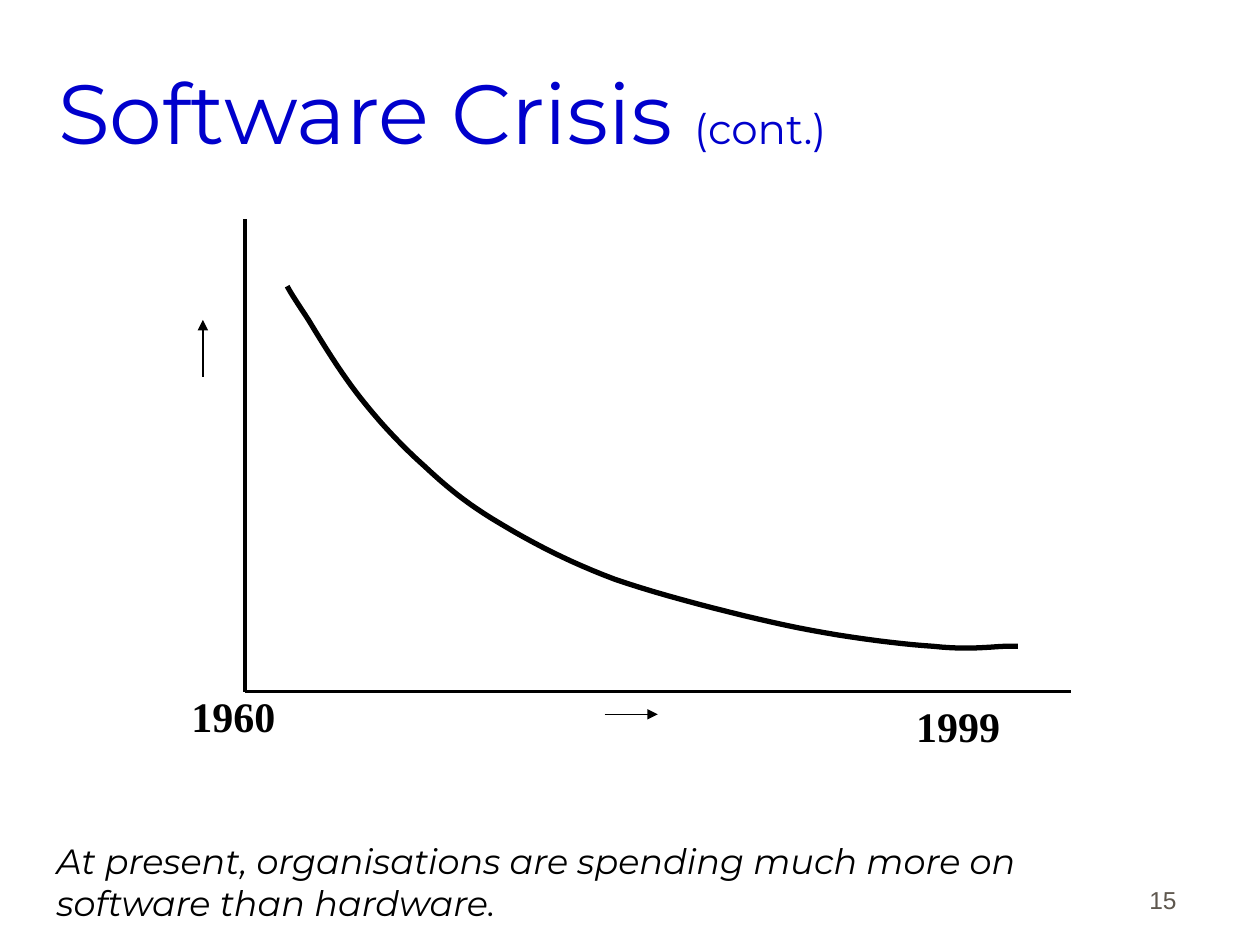
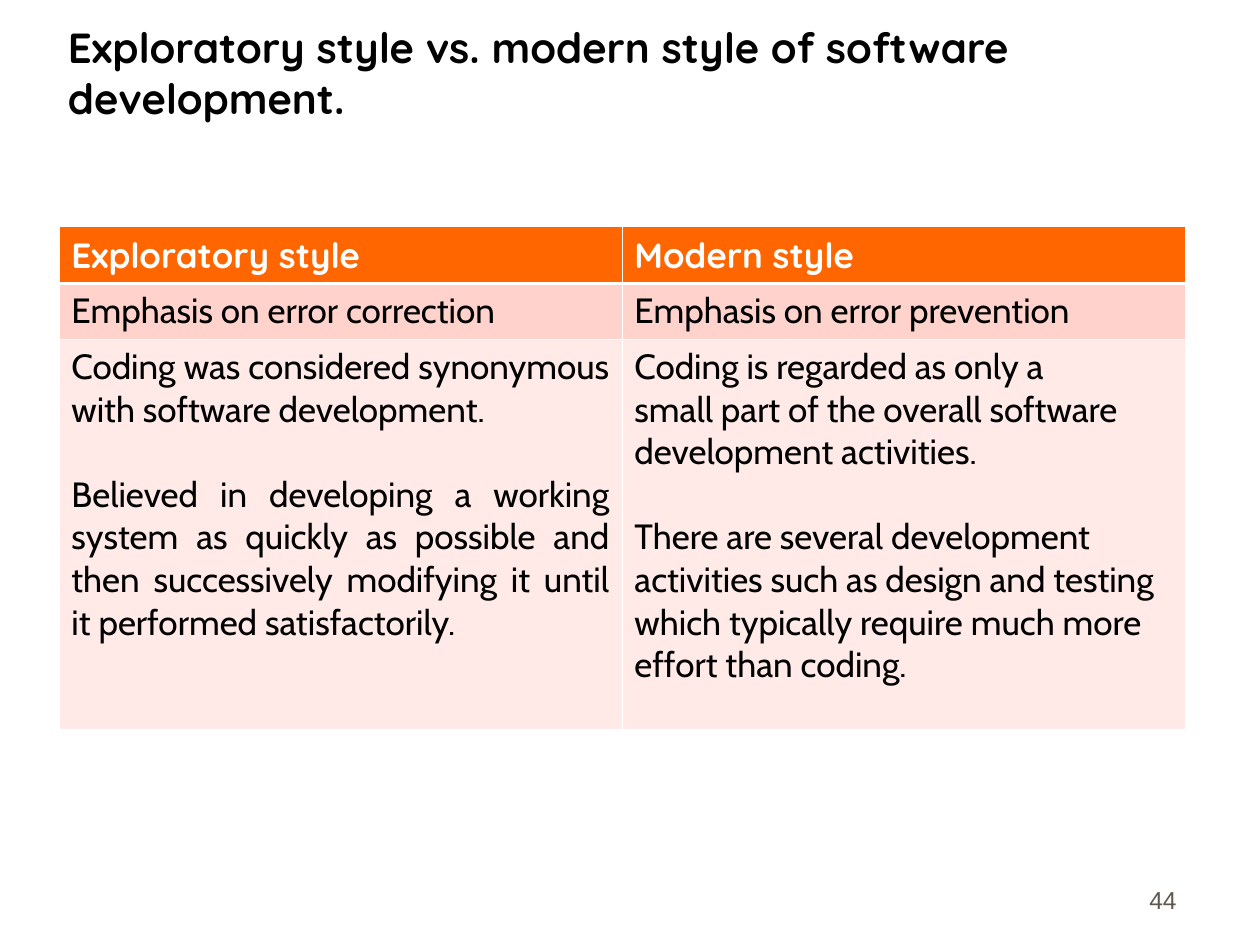
from lxml import etree
from pptx import Presentation
from pptx.dml.color import RGBColor
from pptx.enum.shapes import MSO_CONNECTOR
from pptx.enum.text import MSO_ANCHOR, MSO_AUTO_SIZE, PP_ALIGN
from pptx.oxml.ns import qn
from pptx.util import Cm, Pt

STRAIGHT = MSO_CONNECTOR.STRAIGHT
TOP, MIDDLE, BOTTOM = MSO_ANCHOR.TOP, MSO_ANCHOR.MIDDLE, MSO_ANCHOR.BOTTOM
LEFT, RIGHT, JUSTIFY = PP_ALIGN.LEFT, PP_ALIGN.RIGHT, PP_ALIGN.JUSTIFY
NO_FIT = MSO_AUTO_SIZE.NONE

THEME = {
    "ink": "000000",
    "white": "FFFFFF",
    "header": "FF6600",
    "bands": ["FFD3CB", "FFEAE7"],
    "title": {"name": "Montserrat", "size": Pt(48), "color": "0000CC"},
    "title_note": {"name": "Montserrat", "size": Pt(24), "color": "0000CC"},
    "bold_title": {"name": "Quicksand", "size": Pt(24), "bold": True, "color": "000000"},
    "caption": {"name": "Montserrat", "size": Pt(20), "italic": True, "color": "000000"},
    "year": {"name": "Times New Roman", "size": Pt(24), "bold": True, "color": "000000"},
    "page_number": {"name": "Arial", "size": Pt(14), "color": "5E574E"},
    "table_head": {"name": "Quicksand", "size": Pt(20), "bold": True, "color": "FFFFFF"},
    "table_body": {"name": "Cabin", "size": Pt(20), "bold": False, "color": "000000"},
}


def write_text(frame, paragraphs, anchor=TOP, side=0.25, **para_format):
    frame_format = {"word_wrap": True, "auto_size": NO_FIT, "vertical_anchor": anchor,
                    "margin_left": Cm(side), "margin_right": Cm(side),
                    "margin_top": Cm(0.13), "margin_bottom": Cm(0.13)}
    for name, value in frame_format.items():
        setattr(frame, name, value)
    for index, spans in enumerate(paragraphs):
        para = frame.add_paragraph() if index else frame.paragraphs[0]
        for name, value in para_format.items():
            setattr(para, name, value)
        for text, style in spans:
            span = para.add_run()
            span.text = text
            for name, value in THEME[style].items():
                if name == "color":
                    span.font.color.rgb = RGBColor.from_string(value)
                else:
                    setattr(span.font, name, value)


def add_line(page, start, end, width, arrow=False):
    line = page.shapes.add_connector(STRAIGHT, *map(Cm, start + end))
    line.line.color.rgb = RGBColor.from_string(THEME["ink"])
    line.line.width = Pt(width)
    if arrow:
        etree.SubElement(line.line._get_or_add_ln(), qn("a:tailEnd"), type="triangle")
    etree.SubElement(line._element.spPr, qn("a:effectLst"))


deck = Presentation()
deck.slide_width, deck.slide_height = Cm(25.4), Cm(19.05)

page_plans = [
    ("15", (21.59, 3.18), MIDDLE, 0.05,
     [("Software Crisis ", "title"), ("(cont.)", "title_note")]),
    ("44", (23.67, 1.96), BOTTOM, 0.25,
     [("Exploratory style vs. modern style of software development.", "bold_title")]),
]
pages = []
for number, (width, height), anchor, side, spans in page_plans:
    page = deck.slides.add_slide(deck.slide_layouts[5])
    title = page.shapes.title
    title.left, title.top, title.width, title.height = map(Cm, (1.12, 0.64, width, height))
    write_text(title.text_frame, [spans], anchor, side, alignment=LEFT)
    box = page.shapes.add_textbox(Cm(18.69), Cm(17.3), Cm(5.28), Cm(1.27))
    write_text(box.text_frame, [[(number, "page_number")]], BOTTOM, alignment=RIGHT)
    pages.append(page)
crisis_page, styles_page = pages

origin = (4.93, 13.94)
add_line(crisis_page, (4.93, 4.42), origin, 2.25)
add_line(crisis_page, origin, (21.59, 13.94), 2.25)
add_line(crisis_page, (4.09, 7.59), (4.09, 6.45), 0.75, arrow=True)
add_line(crisis_page, (12.19, 14.4), (13.26, 14.4), 0.75, arrow=True)

curve_start = (5.79, 5.77)
curve_segments = [
    ((5.87, 5.92), (5.97, 6.07), (6.22, 6.45)),
    ((6.45, 6.83), (6.88, 7.54), (7.29, 8.05)),
    ((7.67, 8.53), (8.1, 8.99), (8.56, 9.4)),
    ((9.02, 9.83), (9.42, 10.16), (10.06, 10.54)),
    ((10.69, 10.92), (11.46, 11.33), (12.4, 11.68)),
    ((13.36, 12.01), (14.76, 12.37), (15.82, 12.6)),
    ((16.89, 12.83), (18.06, 12.98), (18.82, 13.03)),
    ((19.56, 13.11), (20.02, 13.03), (20.29, 13.03)),
]
steps = 12
curve_points = []
knot = curve_start
for first, second, end in curve_segments:
    for step in range(1, steps + 1):
        t = step / steps
        curve_points.append([
            Cm((1 - t) ** 3 * a + 3 * t * (1 - t) ** 2 * b + 3 * t ** 2 * (1 - t) * c + t ** 3 * d)
            for a, b, c, d in zip(knot, first, second, end)])
    knot = end
curve_points.append((Cm(20.52), Cm(13.03)))
builder = crisis_page.shapes.build_freeform(*map(Cm, curve_start))
builder.add_line_segments(curve_points, close=False)
curve = builder.convert_to_shape()
curve.shadow.inherit = False
curve.fill.background()
curve.line.color.rgb = RGBColor.from_string(THEME["ink"])
curve.line.width = Pt(3)

for year, left, top in [("1960", 3.81, 13.94), ("1999", 18.42, 14.15)]:
    box = crisis_page.shapes.add_textbox(Cm(left), Cm(top), Cm(2.75), Cm(1.27))
    write_text(box.text_frame, [[(year, "year")]], side=0.05, line_spacing=0.85)

caption = "At present, organisations are spending much more on software than hardware."
box = crisis_page.shapes.add_textbox(Cm(0.89), Cm(16.79), Cm(22.89), Cm(1.96))
write_text(box.text_frame, [[(caption, "caption")]])

table_rows = [
    [["Exploratory style"], ["Modern style"]],
    [["Emphasis on error correction"], ["Emphasis on error prevention"]],
    [["Coding was considered synonymous with software development.",
      "Believed in developing a working system as quickly as possible and then "
      "successively modifying it until it performed satisfactorily."],
     ["Coding is regarded as only a",
      "small part of the overall software development activities.",
      "There are several development activities such as design and testing which "
      "typically require much more effort than coding."]],
]
row_heights = [1.11, 1.11, 7.87]
row_fills = [THEME["header"]] + THEME["bands"]
table = styles_page.shapes.add_table(
    3, 2, Cm(1.19), Cm(4.57), Cm(22.7), Cm(sum(row_heights))).table
for column in table.columns:
    column.width = Cm(11.35)
for row_index, row_texts in enumerate(table_rows):
    table.rows[row_index].height = Cm(row_heights[row_index])
    for column_index, texts in enumerate(row_texts):
        cell = table.cell(row_index, column_index)
        style = "body" if row_index else "head"
        alignment = JUSTIFY if row_index == 2 and column_index == 0 else LEFT
        write_text(cell.text_frame, [[(text, f"table_{style}")] for text in texts],
                   alignment=alignment)
        if len(texts) > 1:
            cell.text_frame.paragraphs[-1].space_before = Pt(24.3)
        cell.vertical_anchor = TOP
        cell.margin_left = cell.margin_right = Cm(0.25)
        cell.margin_top = cell.margin_bottom = Cm(0.13)
        properties = cell._tc.get_or_add_tcPr()
        for edge in "LRTB":
            under_header = (row_index, edge) in [(0, "B"), (1, "T")]
            border = etree.SubElement(properties, qn(f"a:ln{edge}"),
                                      w=str(Pt(1.47 if under_header else 0.45)))
            paint = etree.SubElement(border, qn("a:solidFill"))
            etree.SubElement(paint, qn("a:srgbClr"), val=THEME["white"])
        cell.fill.solid()
        cell.fill.fore_color.rgb = RGBColor.from_string(row_fills[row_index])

deck.save("out.pptx")
